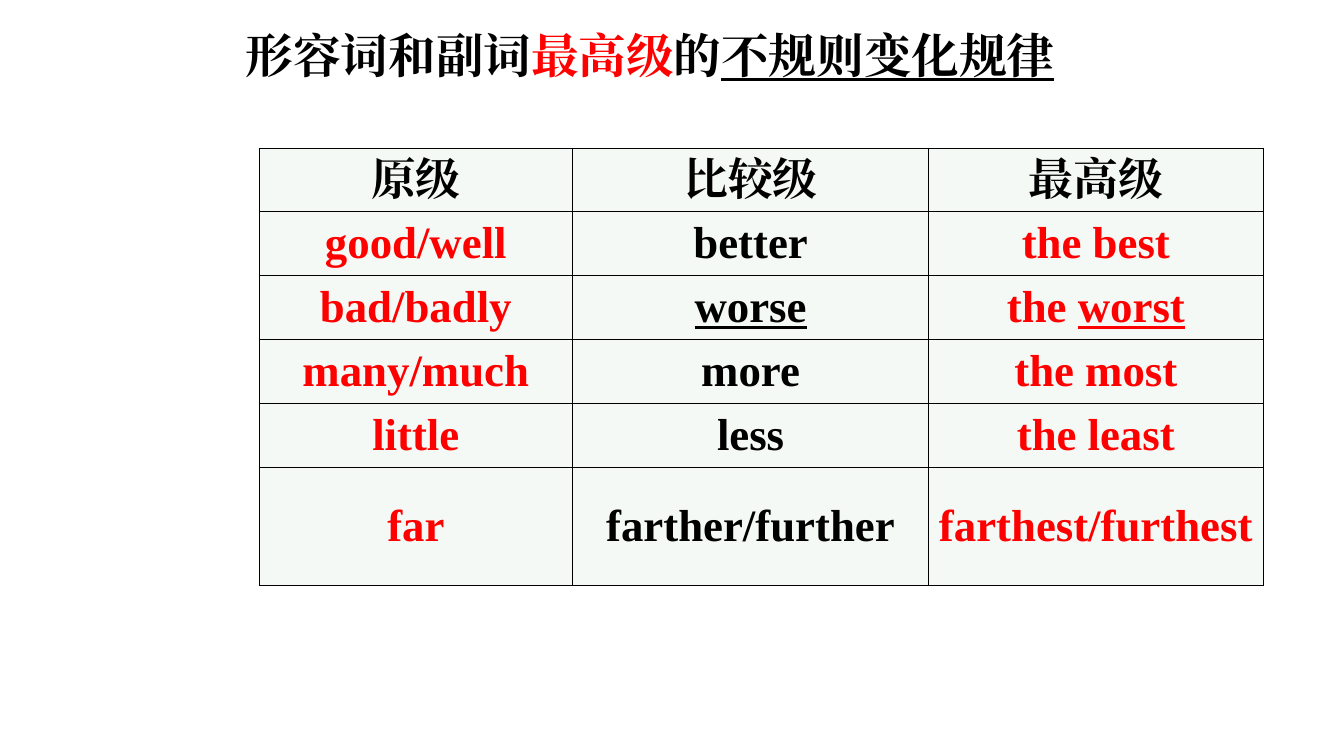
from lxml import etree
from pptx import Presentation
from pptx.dml.color import RGBColor
from pptx.enum import text
from pptx.oxml import ns
from pptx.util import Inches, Pt

BLACK = RGBColor(0, 0, 0)
RED = RGBColor(0xFF, 0, 0)
PALE_GREEN = RGBColor(0xF4, 0xF9, 0xF5)
FONT = "Times New Roman"

# Content: title runs are (words, colour, underlined); "_" marks underlined words in the table
TITLE = [
    ("形容词和副词", BLACK, False),
    ("最高级", RED, False),
    ("的", BLACK, False),
    ("不规则变化规律", BLACK, True),
]
ROWS = [
    ("原级", "比较级", "最高级"),
    ("good/well", "better", "the best"),
    ("bad/badly", "_worse", "the _worst"),
    ("many/much", "more", "the most"),
    ("little", "less", "the least"),
    ("far", "farther/further", "farthest/furthest"),
]
COLUMN_WIDTHS = [3.11, 3.53, 3.32]
ROW_HEIGHTS = [0.63] * 4 + [0.64, 1.17]


def add_run(paragraph, words, size, colour, underlined):
    run = paragraph.add_run()
    run.text = words
    font = run.font
    font.name, font.size, font.bold = FONT, Pt(size), True
    font.color.rgb = colour
    font.underline = underlined
    east_asian = etree.SubElement(run._r.get_or_add_rPr(), ns.qn("a:ea"))
    east_asian.set("typeface", FONT)


def add_borders(cell):
    properties = cell._tc.get_or_add_tcPr()
    for index, side in enumerate(("lnL", "lnR", "lnT", "lnB")):
        line = etree.Element(ns.qn("a:" + side), w=str(Pt(1)))
        fill = etree.SubElement(line, ns.qn("a:solidFill"))
        etree.SubElement(fill, ns.qn("a:srgbClr"), val=str(BLACK))
        properties.insert(index, line)


def add_title(slide):
    box = slide.shapes.add_textbox(Inches(2.34), Inches(0.21), Inches(10.91), Inches(0.67))
    frame = box.text_frame
    frame.word_wrap = True
    frame.vertical_anchor = text.MSO_ANCHOR.MIDDLE
    for words, colour, underlined in TITLE:
        add_run(frame.paragraphs[0], words, 34, colour, underlined)


def fill_cell(cell, words, colour, vertical_margin):
    cell.fill.solid()
    cell.fill.fore_color.rgb = PALE_GREEN
    cell.vertical_anchor = text.MSO_ANCHOR.MIDDLE
    cell.margin_left = cell.margin_right = Inches(0.05)
    cell.margin_top = cell.margin_bottom = Inches(vertical_margin)
    paragraph = cell.text_frame.paragraphs[0]
    paragraph.alignment = text.PP_ALIGN.CENTER
    plain, _, underlined = words.partition("_")
    for part, is_underlined in ((plain, False), (underlined, True)):
        if part:
            add_run(paragraph, part, 32, colour, is_underlined)
    add_borders(cell)


def add_degree_table(slide):
    frame = slide.shapes.add_table(
        len(ROWS), len(COLUMN_WIDTHS), Inches(2.57), Inches(1.47),
        Inches(sum(COLUMN_WIDTHS)), Inches(sum(ROW_HEIGHTS)))
    table = frame.table
    for column, width in zip(table.columns, COLUMN_WIDTHS):
        column.width = Inches(width)
    for row, height in zip(table.rows, ROW_HEIGHTS):
        row.height = Inches(height)
    for r, row_words in enumerate(ROWS):
        for c, words in enumerate(row_words):
            # The header row and the comparative column are black
            colour = BLACK if r == 0 or c == 1 else RED
            fill_cell(table.cell(r, c), words, colour, 0 if r == 0 else 0.05)


def main():
    presentation = Presentation()
    presentation.slide_width = Inches(13.33)
    presentation.slide_height = Inches(7.5)
    slide = presentation.slides.add_slide(presentation.slide_layouts[6])
    add_title(slide)
    add_degree_table(slide)
    presentation.save("out.pptx")


if __name__ == "__main__":
    main()
